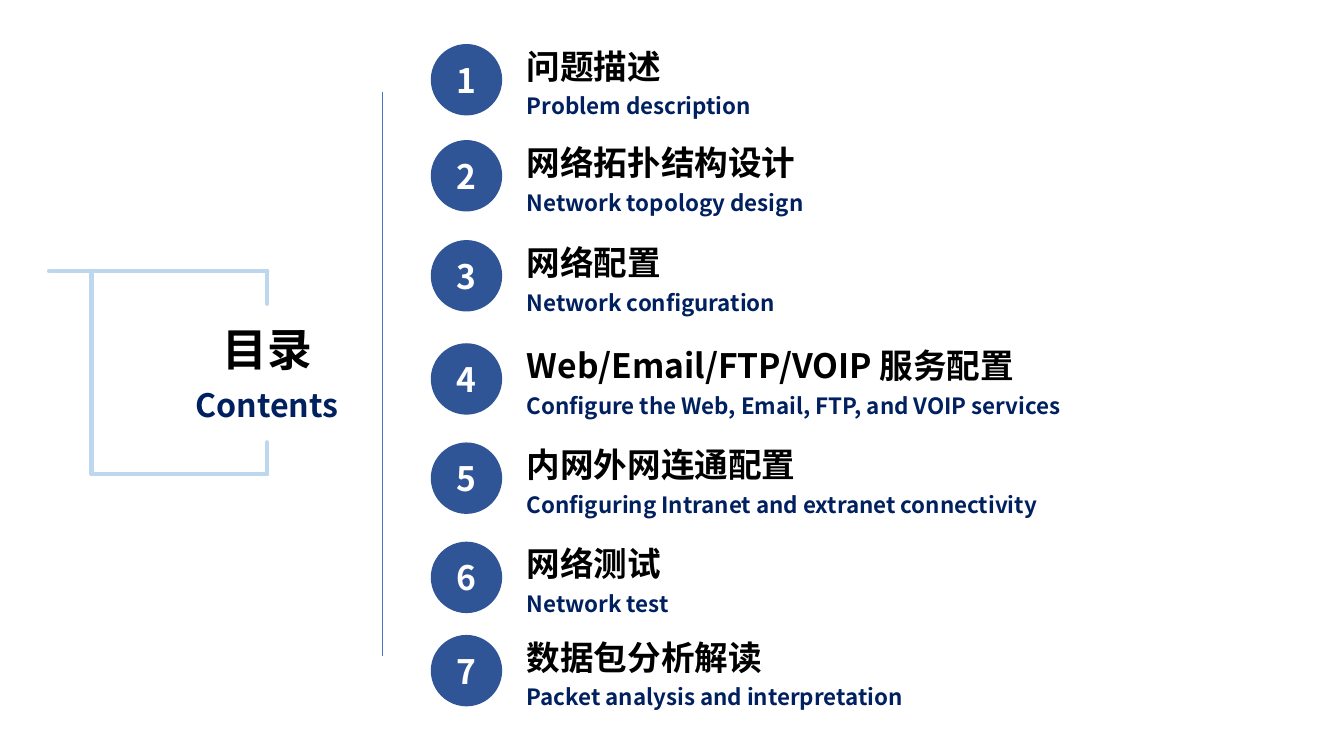
from lxml.etree import SubElement
from pptx import Presentation
from pptx.dml.color import RGBColor
from pptx.enum.shapes import MSO_CONNECTOR, MSO_SHAPE
from pptx.enum.text import MSO_ANCHOR, MSO_AUTO_SIZE, PP_ALIGN
from pptx.oxml.ns import qn
from pptx.util import Cm, Pt

FONT = "Noto Sans CJK SC"
COLOURS = {
    "title": "000000", "subtitle": "002060", "number": "FFFFFF",
    "circle": "2F5597", "divider": "4472C4", "frame": "BDD7EE",
}

HEADING = ("目录", "Contents")
# Circle top in cm, Chinese title, English subtitle
TOPICS = [
    (1.11, "问题描述", "Problem description"),
    (3.53, "网络拓扑结构设计", "Network topology design"),
    (6.05, "网络配置", "Network configuration"),
    (8.65, "Web/Email/FTP/VOIP 服务配置",
     "Configure the Web, Email, FTP, and VOIP services"),
    (11.15, "内网外网连通配置", "Configuring Intranet and extranet connectivity"),
    (13.65, "网络测试", "Network test"),
    (16.0, "数据包分析解读", "Packet analysis and interpretation"),
]

CIRCLE_LEFT, CIRCLE_SIZE = 10.86, 1.8
LABEL_LEFT, LABEL_WIDTH, LABEL_HEIGHT, LABEL_RISE = 13.03, 15.34, 2.39, 0.34

TAIL, LEFT, RIGHT = 1.24, 2.31, 6.73
TOP, GAP_TOP, GAP_BOTTOM, BOTTOM = 6.83, 7.65, 11.15, 11.94
FRAME_LINES = [
    (TAIL, TOP, RIGHT, TOP),
    (LEFT, BOTTOM, RIGHT, BOTTOM),
    (LEFT, TOP, LEFT, BOTTOM),
    (RIGHT, TOP, RIGHT, GAP_TOP),
    (RIGHT, GAP_BOTTOM, RIGHT, BOTTOM),
]


def colour(name):
    return RGBColor.from_string(COLOURS[name])


def add_span(para, text, size, ink):
    span = para.add_run()
    span.text = text
    span.font.size = Pt(size)
    span.font.bold = True
    span.font.name = FONT
    span.font.color.rgb = colour(ink)
    SubElement(span.font._element, qn("a:ea"), typeface=FONT)


def add_line(shapes, ends, ink, width):
    line = shapes.add_connector(MSO_CONNECTOR.STRAIGHT, *map(Cm, ends))
    line.line.color.rgb = colour(ink)
    line.line.width = Pt(width)
    SubElement(line._element.spPr, qn("a:effectLst"))
    return line


def add_bilingual(shapes, place, texts, sizes, align):
    """Put a Chinese line above its English translation in one text box."""
    box = shapes.add_textbox(*map(Cm, place))
    frame = box.text_frame
    frame.word_wrap = True
    frame.auto_size = MSO_AUTO_SIZE.NONE
    paras = (frame.paragraphs[0], frame.add_paragraph())
    for para, text, size, ink in zip(paras, texts, sizes, ("title", "subtitle")):
        para.alignment = align
        para.line_spacing = 1.25
        add_span(para, text, size, ink)


def add_topic(page, number, top, texts):
    shapes = page.shapes.add_group_shape().shapes
    circle = shapes.add_shape(MSO_SHAPE.OVAL, Cm(CIRCLE_LEFT), Cm(top),
                              Cm(CIRCLE_SIZE), Cm(CIRCLE_SIZE))
    circle.shadow.inherit = False
    circle.fill.solid()
    circle.fill.fore_color.rgb = colour("circle")
    circle.line.fill.background()
    circle.text_frame.vertical_anchor = MSO_ANCHOR.MIDDLE
    para = circle.text_frame.paragraphs[0]
    para.alignment = PP_ALIGN.CENTER
    add_span(para, str(number), 24, "number")
    place = (LABEL_LEFT, top - LABEL_RISE, LABEL_WIDTH, LABEL_HEIGHT)
    add_bilingual(shapes, place, texts, (24, 16), PP_ALIGN.LEFT)


def main():
    deck = Presentation()
    deck.slide_width, deck.slide_height = Cm(33.88), Cm(19.05)
    page = deck.slides.add_slide(deck.slide_layouts[6])

    add_bilingual(page.shapes, (3.99, 7.65, 5.49, 3.25), HEADING, (32, 23),
                  PP_ALIGN.CENTER)
    add_line(page.shapes, (9.63, 2.31, 9.63, 16.54), "divider", 0.5)

    frame_shapes = page.shapes.add_group_shape().shapes
    for ends in FRAME_LINES:
        side = add_line(frame_shapes, ends, "frame", 3.25)
        side.line._get_or_add_ln().set("cap", "rnd")

    for number, (top, *texts) in enumerate(TOPICS, 1):
        add_topic(page, number, top, texts)

    deck.save("out.pptx")


if __name__ == "__main__":
    main()
